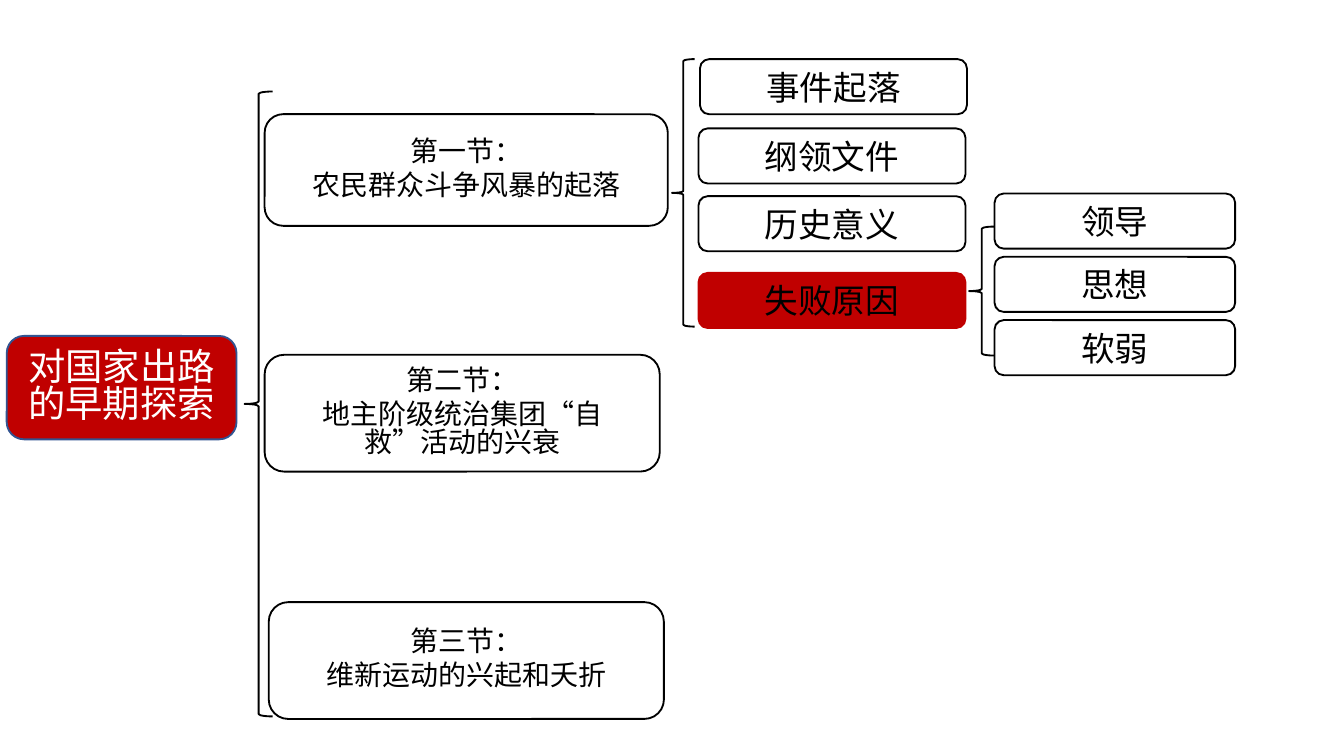
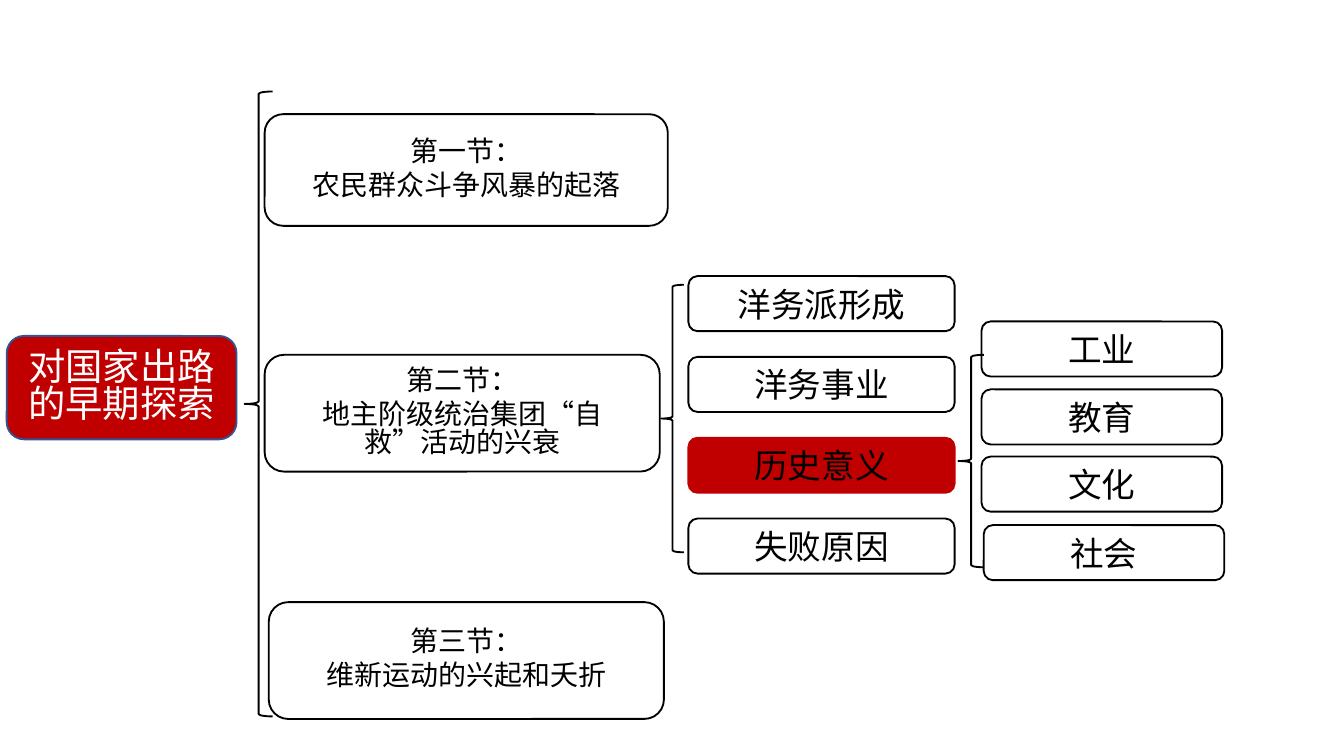
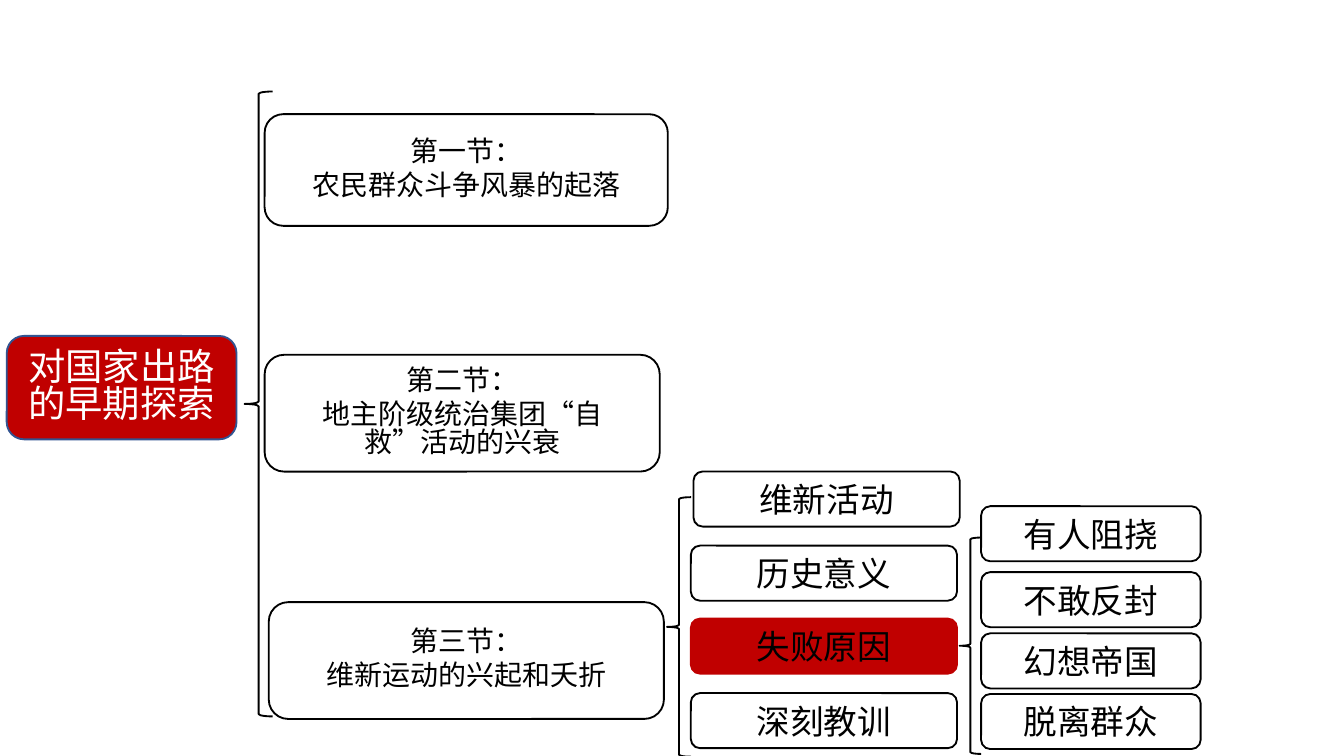
from lxml import etree
from pptx import Presentation
from pptx.dml.color import RGBColor
from pptx.enum.shapes import MSO_SHAPE
from pptx.enum.text import MSO_ANCHOR, PP_ALIGN
from pptx.oxml.ns import qn
from pptx.util import Pt

BOX, BRACE = MSO_SHAPE.ROUNDED_RECTANGLE, MSO_SHAPE.LEFT_BRACE
MIDDLE, CENTER = MSO_ANCHOR.MIDDLE, PP_ALIGN.CENTER
FONT = "Noto Sans CJK SC"
COLORS = {"red": "C00000", "blue": "325491", "black": "000000", "white": "FFFFFF"}

# Formats of the three kinds of box
ROOT = {"fill": "red", "line": "blue", "color": "white", "size": 20, "inset": 7.2, "spacing": 0.82}
SECTION = {"fill": "white", "line": "black", "color": "black", "size": 15, "inset": 14, "spacing": 0.82}
ITEM = {"fill": None, "line": "black", "color": "black", "size": 18, "inset": 7.2, "spacing": 1.0}
KEY_ITEM = {**ITEM, "fill": "red", "line": "red"}

# Parts shared by all slides
ROOT_BOX = (3.6, 180, 123.1, 55.4)
ROOT_BRACE = (131, 49, 15.1, 334.8)
SECTIONS = [
    ((141.8, 61.2, 216, 59.8), ["第一节：", "农民群众斗争风暴的起落"]),
    ((141.8, 190.1, 211.7, 62.6), ["第二节：", "地主阶级统治集团“自救”活动的兴衰"]),
    ((144, 322.6, 211.7, 62.6), ["第三节：", "维新运动的兴起和夭折"]),
]
ITEM_H = 29.5

# Each slide: two braces, then two columns of (width, [(left, top, text)]), and the key item
SLIDES = [
    {
        "braces": [(360, 31.7, 12.2, 143.3), (519.1, 121.4, 13.7, 69.1)],
        "columns": [
            (143, [(375, 31.7, "事件起落"), (374.2, 68.8, "纲领文件"),
                   (374.2, 105.1, "历史意义"), (374.2, 146.2, "失败原因")]),
            (128.9, [(532.8, 103.7 + 33.9 * i, t) for i, t in enumerate(["领导", "思想", "软弱"])]),
        ],
        "key": "失败原因",
    },
    {
        "braces": [(354.2, 152.6, 12.2, 143.3), (513.4, 190.1, 13.7, 113.8)],
        "columns": [
            (142.6, [(368.8, 147.9 + 43.3 * i, t) for i, t in
                     enumerate(["洋务派形成", "洋务事业", "历史意义", "失败原因"])]),
            (128.9, [(525.8, 172.2, "工业"), (525.8, 208.6, "教育"),
                     (525.8, 244.6, "文化"), (527, 281.3, "社会")]),
        ],
        "key": "历史意义",
    },
    {
        "braces": [(357.3, 266.4, 12.9, 139), (514.1, 288, 11.5, 115.9)],
        "columns": [
            (142.6, [(371.5, 252.6, "维新活动"), (370.1, 292.3, "历史意义"),
                     (370.1, 331.4, "失败原因"), (370.1, 371.3, "深刻教训")]),
            (117.6, [(525.6, 271.2, "有人阻挠"), (525.6, 306.5, "不敢反封"),
                     (525.6, 339.3, "幻想帝国"), (525.6, 371.8, "脱离群众")]),
        ],
        "key": "失败原因",
    },
]


def add_outline(s, kind, at, line, fill=None):
    sp = s.shapes.add_shape(kind, *[Pt(v) for v in at])
    sp.shadow.inherit = False
    sp.line.color.rgb = RGBColor.from_string(COLORS[line])
    sp.line.width = Pt(1)
    if fill:
        sp.fill.solid()
        sp.fill.fore_color.rgb = RGBColor.from_string(COLORS[fill])
    else:
        sp.fill.background()
    return sp


def add_box(s, at, lines, fmt):
    tf = add_outline(s, BOX, at, fmt["line"], fmt["fill"]).text_frame
    frame = {"word_wrap": True, "vertical_anchor": MIDDLE,
             "margin_left": Pt(fmt["inset"]), "margin_right": Pt(fmt["inset"])}
    for name, value in frame.items():
        setattr(tf, name, value)
    for i, text in enumerate(lines):
        p = tf.paragraphs[0] if i == 0 else tf.add_paragraph()
        p.alignment = CENTER
        p.line_spacing = fmt["spacing"]
        if i:
            p.space_before = Pt(3.5)
        r = p.add_run()
        r.text = text
        for name, value in {"size": Pt(fmt["size"]), "name": FONT}.items():
            setattr(r.font, name, value)
        r.font.color.rgb = RGBColor.from_string(COLORS[fmt["color"]])
        # East Asian typeface
        etree.SubElement(r._r.get_or_add_rPr(), qn("a:ea")).set("typeface", FONT)


prs = Presentation()
prs.slide_width, prs.slide_height = Pt(720), Pt(405)

for slide in SLIDES:
    s = prs.slides.add_slide(prs.slide_layouts[6])

    # Topic and its sections
    add_box(s, ROOT_BOX, ["对国家出路的早期探索"], ROOT)
    add_outline(s, BRACE, ROOT_BRACE, "black")
    for at, lines in SECTIONS:
        add_box(s, at, lines, SECTION)

    # Items of one section and the details of its key item
    for brace, (width, items) in zip(slide["braces"], slide["columns"]):
        add_outline(s, BRACE, brace, "black")
        for left, top, text in items:
            fmt = KEY_ITEM if text == slide["key"] else ITEM
            add_box(s, (left, top, width, ITEM_H), [text], fmt)

prs.save("out.pptx")
